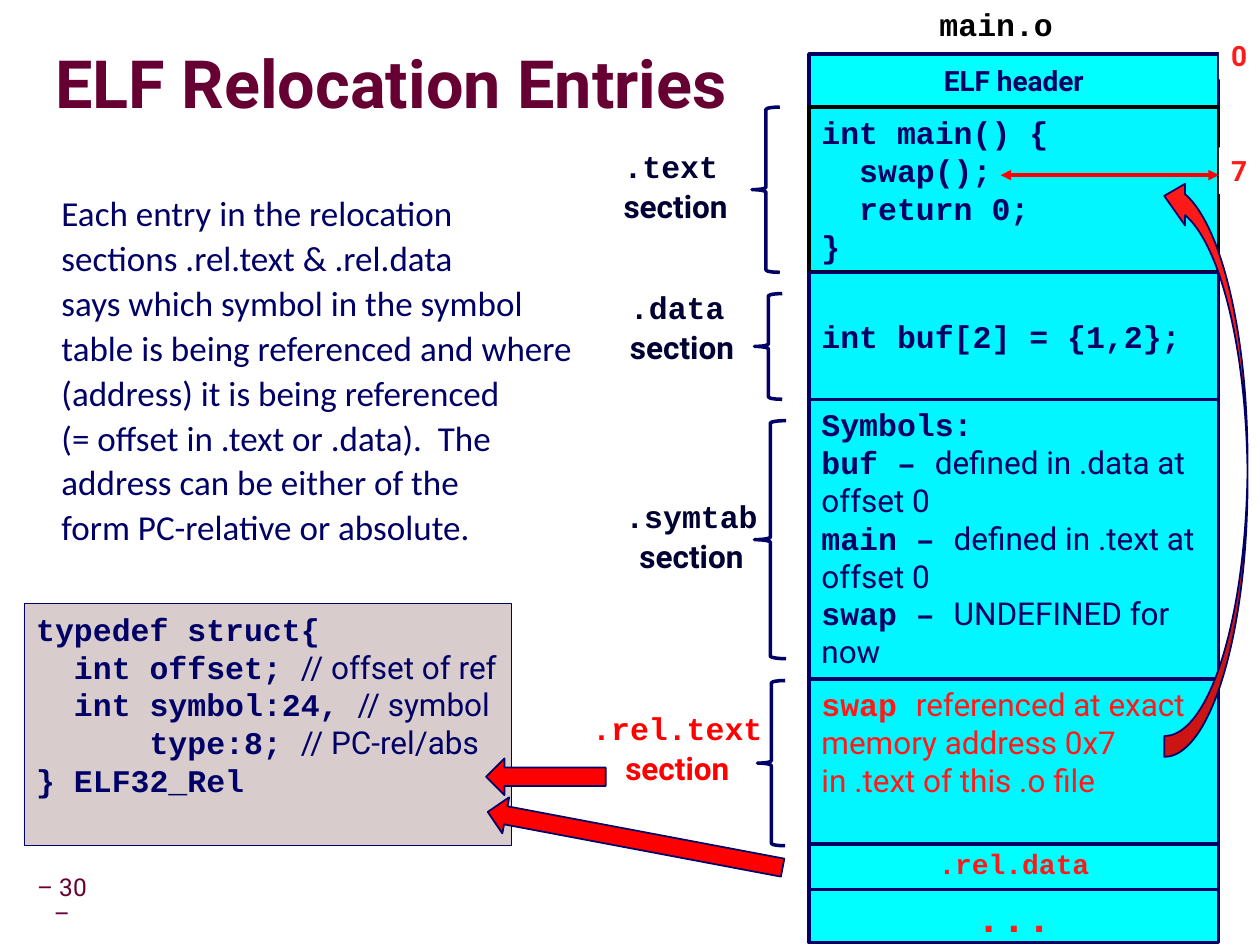
from lxml.etree import SubElement
from pptx import Presentation
from pptx.dml.color import RGBColor
from pptx.enum.shapes import MSO_CONNECTOR as Connector, MSO_SHAPE as Shape
from pptx.enum.text import MSO_ANCHOR as Anchor, PP_ALIGN as Align
from pptx.oxml import parse_xml
from pptx.oxml.ns import nsdecls, qn
from pptx.util import Cm, Pt

COLORS = {
    "maroon": "660033", "navy": "000066", "dark": "000033", "black": "000000",
    "white": "FFFFFF", "cyan": "00FFFF", "aqua": "02F6FF", "taupe": "D9CCCC",
    "red": "FF0000", "scarlet": "FF1A1A",
}
CODE, SANS, BODY = "Courier New", "Roboto", "Calibri"


def color(name):
    """Return the named colour."""
    return RGBColor.from_string(COLORS[name])


def code(text, ink="navy", size=18):
    """Describe a bold monospaced run."""
    return text, CODE, size, ink, True


def sans(text, ink="navy", size=18, bold=False):
    """Describe a run in the sans font."""
    return text, SANS, size, ink, bold


def write(shape, lines, align=Align.LEFT, anchor=Anchor.TOP, wrap=False,
          spacing=None, before=0):
    """Fill a shape with paragraphs, each a list of runs."""
    frame = shape.text_frame
    frame.word_wrap = wrap
    frame.vertical_anchor = anchor
    for index, runs in enumerate(lines):
        para = frame.add_paragraph() if index else frame.paragraphs[0]
        para.alignment = align
        if spacing:
            para.line_spacing = spacing
        if index and before:
            para.space_before = Pt(before)
        for text, font, size, ink, bold in runs:
            for part, piece in enumerate(text.split("\n")):
                if part:
                    para.add_line_break()
                span = para.add_run()
                span.text = piece
                span.font.name = font
                span.font.size = Pt(size)
                span.font.bold = bold
                span.font.color.rgb = color(ink)


def add_box(page, box):
    """Add a text box at left, top, width, height."""
    return page.shapes.add_textbox(*map(Cm, box))


def add_shape(page, kind, box, fill, line=None, width=2):
    """Add a flat preset shape."""
    shape = page.shapes.add_shape(kind, *map(Cm, box))
    shape.shadow.inherit = False
    shape.fill.solid()
    shape.fill.fore_color.rgb = color(fill)
    if line:
        shape.line.color.rgb = color(line)
        shape.line.width = Pt(width)
    else:
        shape.line.fill.background()
    return shape


def draw_title(page, box):
    """Write the heading with a soft text shadow."""
    title = add_box(page, box)
    frame = title.text_frame
    frame.margin_left = frame.margin_right = frame.margin_top = frame.margin_bottom = 0
    write(title, [[sans("ELF Relocation Entries", "maroon", 38, True)]],
          anchor=Anchor.MIDDLE, wrap=True, spacing=0.87)
    fill = frame.paragraphs[0].runs[0].font.fill
    fill.solid()
    fill.fore_color.rgb = color("maroon")
    shadow = parse_xml(
        f'<a:effectLst {nsdecls("a")}><a:outerShdw blurRad="38100" dist="38100" dir="2700000">'
        '<a:srgbClr val="000000"><a:alpha val="43000"/></a:srgbClr></a:outerShdw></a:effectLst>')
    title._element.find(".//" + qn("a:solidFill")).addnext(shadow)


def draw_number(page, box):
    """Write the page number."""
    write(add_box(page, box), [[sans("– 30\n–", "maroon", 14)]],
          Align.CENTER, Anchor.MIDDLE, spacing=0.9)


def draw_explanation(page, box):
    """Write the explanation, one paragraph per line."""
    lines = [
        "Each entry in the relocation",
        "sections .rel.text & .rel.data",
        "says which symbol in the symbol",
        "table is being referenced and where",
        "(address) it is being referenced",
        "(= offset in .text or .data).  The",
        "address can be either of the",
        "form PC-relative or absolute.",
    ]
    write(add_box(page, box), [[(line, BODY, 20, "navy", False)] for line in lines],
          spacing=0.65, before=10)


def draw_struct(page, box):
    """Draw the struct definition panel."""
    panel = add_shape(page, Shape.RECTANGLE, box, "taupe", "navy", 0.25)
    write(panel, [
        [code("typedef struct{")],
        [code("  int offset; "), sans("// offset of ref")],
        [code("  int symbol:24, "), sans("// symbol")],
        [code("      type:8; "), sans("// PC-rel/abs")],
        [code("} ELF32_Rel")],
    ])


def draw_object_file(page, box):
    """Draw the stacked sections of the object file with its name and offsets."""
    left, top, width, _ = box
    write(add_box(page, (left + 2.38, top - 1.12, 2.82, 1.02)), [[code("main.o", "black")]])
    strips = [
        (0, sans("ELF header", "navy", 16, True)),
        (15.78, code(".rel.data", "scarlet", 16)),
        (16.84, code("...", "scarlet", 24)),
    ]
    for offset, run in strips:
        strip = add_shape(page, Shape.RECTANGLE, (left, top + offset, width, 1.07), "cyan", "navy")
        write(strip, [[run]], Align.CENTER, Anchor.MIDDLE)
    main_code = ["int main() {", "  swap();", "  return 0;", "}"]
    sections = [
        (1.07, 3.33, "black", Anchor.TOP, [[code(line)] for line in main_code]),
        (4.4, 2.57, "navy", Anchor.MIDDLE, [[code("int buf[2] = {1,2};")]]),
        (6.96, 5.64, "navy", Anchor.TOP, [
            [code("Symbols:")],
            [code("buf – "), sans("defined in .data at offset 0")],
            [code("main – "), sans("defined in .text at offset 0")],
            [code("swap – "), sans("UNDEFINED for now")],
        ]),
        (12.6, 3.33, "navy", Anchor.TOP, [[
            code("swap ", "scarlet"),
            sans("referenced at exact memory address 0x7\nin .text of this .o file", "scarlet"),
        ]]),
    ]
    for offset, height, line, anchor, lines in sections:
        section = add_shape(page, Shape.RECTANGLE, (left, top + offset, width, height), "aqua", line)
        write(section, lines, anchor=anchor, wrap=True)
    draw_swap_arrow(page, left + width, top + 2.44)
    for digit, offset in (("0", -0.43), ("7", 1.88)):
        mark = add_shape(page, Shape.RECTANGLE, (left + width, top + offset, 0.82, 0.94), "white")
        write(mark, [[sans(digit, "scarlet", 16, True)]])


def draw_swap_arrow(page, right, y):
    """Draw the two-headed arrow from the call to its offset."""
    arrow = page.shapes.add_connector(Connector.STRAIGHT, Cm(right), Cm(y), Cm(right - 4.4), Cm(y))
    arrow.line.color.rgb = color("red")
    arrow.line.width = Pt(2)
    line = arrow.line._get_or_add_ln()
    for end in ("a:headEnd", "a:tailEnd"):
        SubElement(line, qn(end), type="triangle")
    SubElement(arrow._element.spPr, qn("a:effectLst"))


def draw_label(page, box, name, brace, ink="dark", align=Align.LEFT):
    """Draw a section label and the brace beside it."""
    write(add_box(page, box), [[code(name, ink)], [sans("section", ink, bold=True)]],
          align, spacing=0.65, before=9)
    add_shape(page, Shape.LEFT_BRACE, brace, "white", "navy")


def draw_pointers(page):
    """Draw the block arrows that link the entries."""
    for box, angle in (((9.8, 15.29, 2.41, 0.74), 0), ((9.78, 16.56, 6.05, 0.74), 10.7)):
        add_shape(page, Shape.LEFT_ARROW, box, "red", "navy", 1).rotation = angle
    curve = add_shape(page, Shape.CURVED_LEFT_ARROW, (23.47, 3.53, 1.68, 11.73), "scarlet", "navy", 1)
    curve._element.spPr.find(qn("a:xfrm")).set("flipV", "1")


def main():
    """Build and save the deck."""
    deck = Presentation()
    deck.slide_width, deck.slide_height = Cm(25.4), Cm(19.05)
    page = deck.slides.add_slide(deck.slide_layouts[6])
    draw_number(page, (0.42, 17.78, 1.66, 0.79))
    draw_title(page, (1.12, 0.69, 24.2, 2.16))
    draw_struct(page, (0.48, 12.17, 9.83, 4.88))
    draw_object_file(page, (16.31, 1.09, 8.26, 17.91))
    draw_label(page, (12.32, 3.07, 2.77, 1.68), ".text", (15.16, 2.16, 0.56, 3.33))
    draw_label(page, (12.45, 5.92, 2.77, 1.68), ".data", (15.21, 5.92, 0.56, 2.13))
    draw_label(page, (12.34, 10.13, 3.2, 1.68), ".symtab", (15.21, 8.48, 0.64, 4.8),
               align=Align.CENTER)
    draw_label(page, (11.66, 14.4, 3.99, 1.68), ".rel.text", (15.27, 13.72, 0.56, 3.33),
               "red", Align.CENTER)
    draw_explanation(page, (0.99, 4.01, 10.9, 8.74))
    draw_pointers(page)
    deck.save("out.pptx")


if __name__ == "__main__":
    main()
